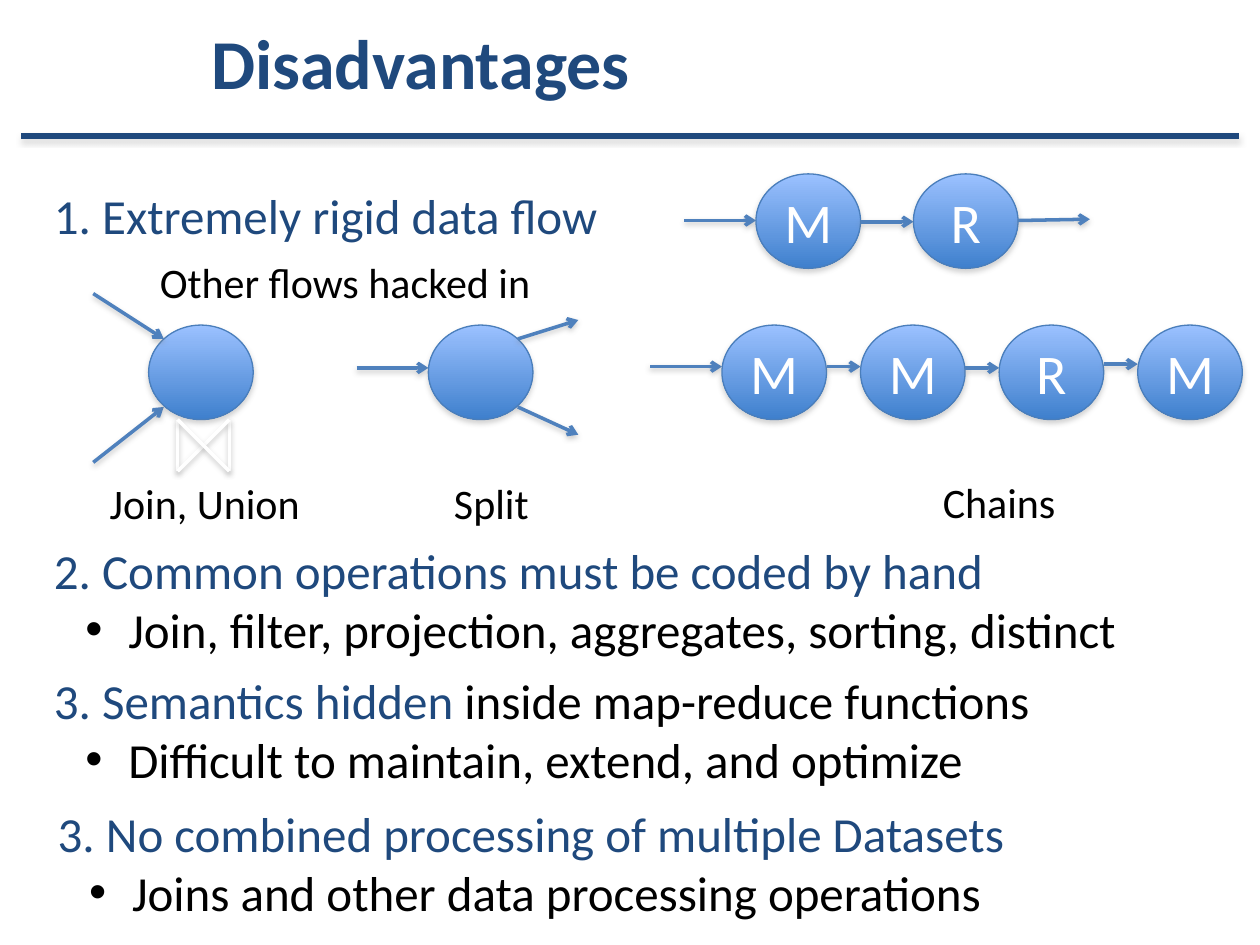
import pptx
import pptx.dml.color
import pptx.enum.dml
import pptx.enum.shapes
import pptx.enum.text
import pptx.oxml
import pptx.oxml.ns
import pptx.util
from pptx.util import Inches

NAVY = pptx.dml.color.RGBColor(0x1F, 0x49, 0x7D)
BLUE = pptx.dml.color.RGBColor(0x4F, 0x81, 0xBD)
OUTLINE = pptx.dml.color.RGBColor(0x4A, 0x7E, 0xBB)
NODE_TOP = pptx.dml.color.RGBColor(0x9B, 0xC1, 0xFF)
NODE_BOTTOM = pptx.dml.color.RGBColor(0x3F, 0x80, 0xCD)
SHADOW = pptx.dml.color.RGBColor(0x80, 0x80, 0x80)
BLACK = pptx.dml.color.RGBColor(0, 0, 0)
WHITE = pptx.dml.color.RGBColor(0xFF, 0xFF, 0xFF)

FONT = "Calibri"
NODE_WIDTH, NODE_HEIGHT = 0.83, 0.75
ENTRY_LENGTH = 0.57
FLOW_TOP = 2.58


def add_shadow(shape, opacity, distance):
    properties = shape._element.spPr
    for effects in properties.findall(pptx.oxml.ns.qn("a:effectLst")):
        properties.remove(effects)
    properties.append(pptx.oxml.parse_xml(
        f'<a:effectLst {pptx.oxml.ns.nsdecls("a")}>'
        f'<a:outerShdw blurRad="{pptx.util.Pt(3.1)}" dist="{pptx.util.Pt(distance)}" '
        f'dir="5400000" rotWithShape="0"><a:srgbClr val="{SHADOW}">'
        f'<a:alpha val="{opacity * 1000}"/></a:srgbClr></a:outerShdw></a:effectLst>'))


def add_line(shapes, start, end, color=BLUE, width=2, arrow=True,
             opacity=38, distance=1.6):
    line = shapes.add_connector(pptx.enum.shapes.MSO_CONNECTOR.STRAIGHT,
                                *map(Inches, (*start, *end)))
    line.line.color.rgb = color
    line.line.width = pptx.util.Pt(width)
    if arrow:
        line.line._get_or_add_ln().append(pptx.oxml.parse_xml(
            f'<a:tailEnd {pptx.oxml.ns.nsdecls("a")} type="arrow"/>'))
    add_shadow(line, opacity, distance)


def add_bullet(paragraph):
    paragraph.level = 1
    properties = paragraph._p.get_or_add_pPr()
    properties.set("marL", str(Inches(0.59)))
    properties.set("indent", str(Inches(-0.34)))
    for tag, name, value in (("buFont", "typeface", "Arial"), ("buChar", "char", "•")):
        properties.append(pptx.oxml.parse_xml(
            f'<a:{tag} {pptx.oxml.ns.nsdecls("a")} {name}="{value}"/>'))


def write_text(paragraph, text, size=24, color=BLACK, bold=False, centered=False):
    if centered:
        paragraph.alignment = pptx.enum.text.PP_ALIGN.CENTER
    run = paragraph.add_run()
    run.text = text
    run.font.name = FONT
    run.font.size = pptx.util.Pt(size)
    run.font.color.rgb = color
    run.font.bold = bold


def add_text_box(shapes, position, wrap=False):
    frame = shapes.add_textbox(*map(Inches, position)).text_frame
    frame.word_wrap = wrap
    frame.auto_size = pptx.enum.text.MSO_AUTO_SIZE.SHAPE_TO_FIT_TEXT
    return frame


def add_title(shapes, text):
    frame = add_text_box(shapes, (1.58, 0.05, 8.33, 0.87), wrap=True)
    frame.auto_size = pptx.enum.text.MSO_AUTO_SIZE.NONE
    frame.vertical_anchor = pptx.enum.text.MSO_ANCHOR.MIDDLE
    write_text(frame.paragraphs[0], text, size=40, color=NAVY, bold=True)


def add_point(shapes, position, heading, continuation="", detail=""):
    frame = add_text_box(shapes, position)
    write_text(frame.paragraphs[0], heading, size=28, color=NAVY)
    if continuation:
        write_text(frame.paragraphs[0], continuation, size=28)
    if detail:
        paragraph = frame.add_paragraph()
        add_bullet(paragraph)
        write_text(paragraph, detail, size=28)


def add_node(shapes, left, top, label=""):
    node = shapes.add_shape(pptx.enum.shapes.MSO_SHAPE.OVAL,
                            *map(Inches, (left, top, NODE_WIDTH, NODE_HEIGHT)))
    node.fill.gradient()
    node.fill.gradient_angle = 270
    for stop, position, color in zip(node.fill.gradient_stops, (0, 1),
                                     (NODE_TOP, NODE_BOTTOM)):
        stop.position = position
        stop.color.rgb = color
    node.line.color.rgb = OUTLINE
    node.line.width = pptx.util.Pt(0.75)
    add_shadow(node, 35, 1.8)
    if label:
        node.text_frame.vertical_anchor = pptx.enum.text.MSO_ANCHOR.MIDDLE
        write_text(node.text_frame.paragraphs[0], label, size=32,
                   color=WHITE, centered=True)


def add_chain(shapes, labels, left, top, step, arrow_heights):
    previous_right = left - ENTRY_LENGTH
    for index, (label, height) in enumerate(zip(labels, arrow_heights)):
        node_left = left + index * step
        add_line(shapes, (previous_right, height), (node_left, height))
        add_node(shapes, node_left, top, label)
        previous_right = node_left + NODE_WIDTH


def add_join_symbol(shapes, left, top, size):
    group = shapes.add_group_shape()
    right, bottom = left + size, top + size
    for start, end in (((left, top), (left, bottom)), ((right, top), (right, bottom)),
                       ((right, top), (left, bottom)), ((left, top), (right, bottom))):
        add_line(group.shapes, start, end, color=WHITE, arrow=False)


def add_join_flow(shapes):
    add_line(shapes, (0.74, 3.67), (1.3, 3.23))
    add_node(shapes, 1.18, FLOW_TOP)
    add_join_symbol(shapes, 1.41, 3.33, 0.41)
    add_line(shapes, (0.74, 2.33), (1.3, 2.69))


def add_split_flow(shapes):
    add_line(shapes, (2.83, 2.92), (3.4, 2.92))
    add_node(shapes, 3.4, FLOW_TOP)
    add_line(shapes, (4.11, 2.69), (4.59, 2.54))
    add_line(shapes, (4.11, 3.23), (4.59, 3.45))


def main():
    presentation = pptx.Presentation()
    presentation.slide_width = Inches(10)
    presentation.slide_height = Inches(7.5)
    slide = presentation.slides.add_slide(presentation.slide_layouts[6])
    shapes = slide.shapes

    add_line(shapes, (9.83, 1.08), (0.17, 1.08), color=NAVY, width=3, arrow=False,
             opacity=35, distance=1.8)
    add_title(shapes, "Disadvantages")
    add_point(shapes, (0.33, 1.42, 4.56, 0.57), "1. Extremely rigid data flow")

    add_chain(shapes, "MR", 6, 1.38, 1.25, (1.75, 1.76))
    add_line(shapes, (8.08, 1.75), (8.65, 1.74))
    add_join_flow(shapes)
    add_split_flow(shapes)
    add_chain(shapes, "MMRM", 5.73, FLOW_TOP, 1.1, (2.91, 2.91, 2.92, 2.89))

    for text, position, wrap, centered in (
            ("Other flows hacked in", (1.17, 1.99, 3.16, 0.5), False, False),
            ("Join, Union", (0.58, 3.74, 2.09, 0.5), True, True),
            ("Split", (3.5, 3.74, 0.8, 0.5), True, True),
            ("Chains", (7.38, 3.73, 1.1, 0.5), False, True)):
        frame = add_text_box(shapes, position, wrap=wrap)
        write_text(frame.paragraphs[0], text, centered=centered)

    add_point(shapes, (0.33, 4.24, 8.84, 1.03),
              "2. Common operations must be coded by hand",
              detail="Join, filter, projection, aggregates, sorting, distinct")
    add_point(shapes, (0.33, 5.27, 7.97, 1.03), "3. Semantics hidden ",
              continuation="inside map-reduce functions",
              detail="Difficult to maintain, extend, and optimize")
    add_point(shapes, (0.36, 6.33, 7.75, 1.03),
              "3. No combined processing of multiple Datasets",
              detail="Joins and other data processing operations")

    presentation.save("out.pptx")


if __name__ == "__main__":
    main()
